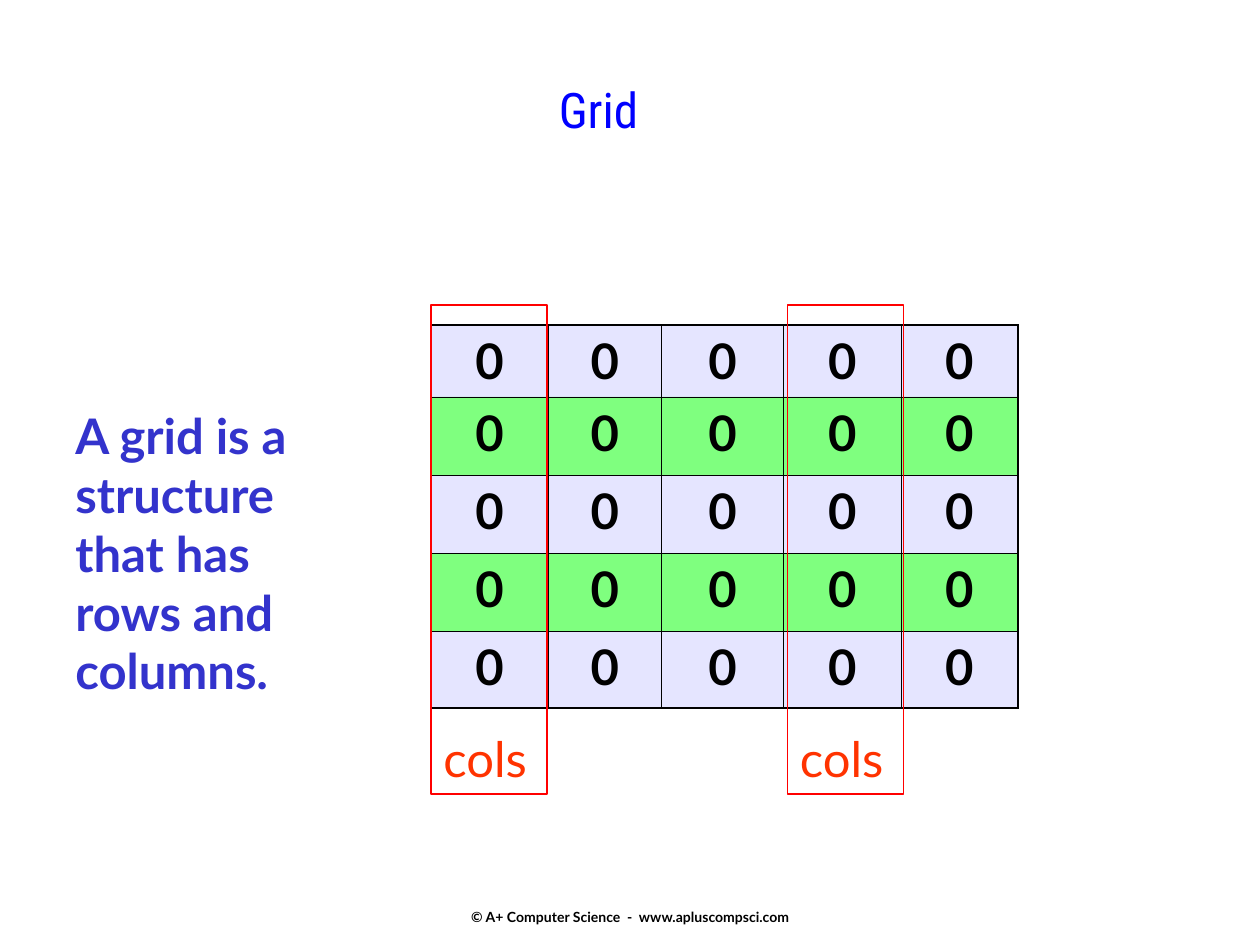
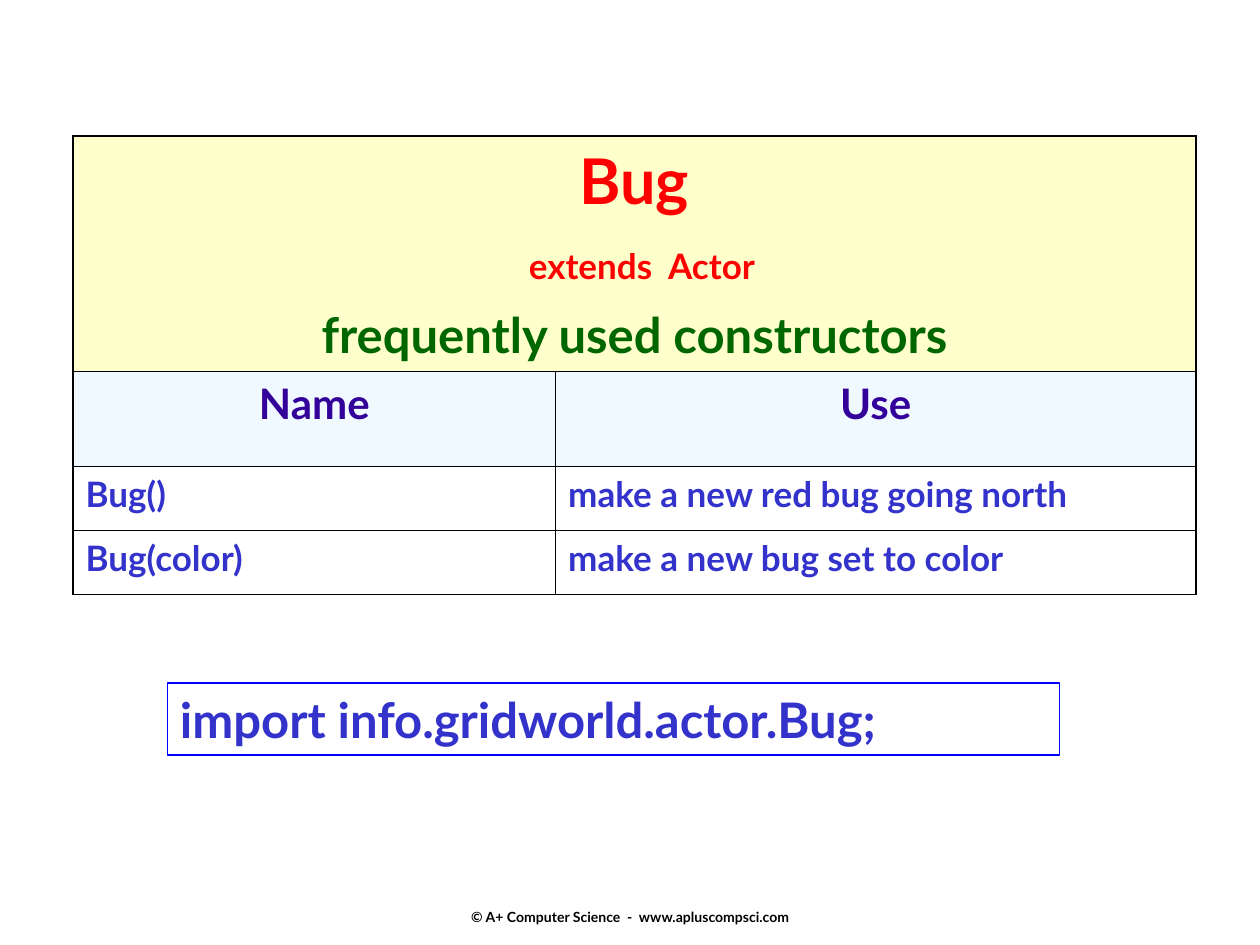
from lxml.etree import SubElement
from pptx import Presentation
from pptx.dml.color import RGBColor
from pptx.enum.shapes import MSO_SHAPE
from pptx.enum.text import MSO_ANCHOR, PP_ALIGN
from pptx.oxml import parse_xml
from pptx.oxml.ns import nsdecls, qn
from pptx.util import Inches, Pt

# Shared style
BODY_FONT = "Lato"
TITLE_FONT = "Roboto Condensed"
BLACK = "000000"
BLUE = "0000FF"
RED = "FF0000"
INDIGO = "3333CC"
ORANGE = "FF3300"
GREEN = "006600"
PURPLE = "330099"
LAVENDER = "CCCCFF"
LIME = "00FF00"
CREAM = "FFFFCC"
SKY = "E1F4FF"
OUTER_LINE, INNER_LINE = 1.08, 0.45
FOOTER = "© A+ Computer Science  -  www.apluscompsci.com"


def color(hex_value):
    return RGBColor.from_string(hex_value)


def style_paragraph(paragraph, size, hex_value, bold=True,
                    align=PP_ALIGN.LEFT, font=BODY_FONT):
    paragraph.alignment = align
    for run in paragraph.runs:
        run.font.name = font
        run.font.size = Pt(size)
        run.font.bold = bold
        run.font.color.rgb = color(hex_value)


def fill_text(shape, text, size, hex_value, anchor=MSO_ANCHOR.TOP, **style):
    text_frame = shape.text_frame
    text_frame.word_wrap = True
    text_frame.vertical_anchor = anchor
    text_frame.text = text
    style_paragraph(text_frame.paragraphs[0], size, hex_value, **style)


def add_text(slide, box, text, size, hex_value, **style):
    shape = slide.shapes.add_textbox(*map(Inches, box))
    fill_text(shape, text, size, hex_value, **style)


def add_frame(slide, box, line_color, text, size, hex_value, **style):
    """Add an unfilled outlined rectangle with text."""
    shape = slide.shapes.add_shape(MSO_SHAPE.RECTANGLE, *map(Inches, box))
    shape.shadow.inherit = False
    shape.fill.background()
    shape.line.color.rgb = color(line_color)
    shape.line.width = Pt(1)
    fill_text(shape, text, size, hex_value, **style)


def add_footer(slide):
    add_text(slide, (3.17, 7.03, 3.67, 0.5), FOOTER, 8, BLACK,
             align=PP_ALIGN.CENTER, anchor=MSO_ANCHOR.MIDDLE)


# Tables
def add_table(slide, left, top, widths, heights):
    frame = slide.shapes.add_table(
        len(heights), len(widths), Inches(left), Inches(top),
        Inches(sum(widths)), Inches(sum(heights)))
    table = frame.table
    table.first_row = False
    table.horz_banding = False
    for column, width in zip(table.columns, widths):
        column.width = Inches(width)
    for row, height in zip(table.rows, heights):
        row.height = Inches(height)
    return table


def fill_cell(cell, hex_value=None, opacity=100):
    if hex_value is None:
        cell.fill.background()
        return
    cell.fill.solid()
    cell.fill.fore_color.rgb = color(hex_value)
    if opacity < 100:
        for element in cell._tc.tcPr.iter(qn("a:srgbClr")):
            SubElement(element, qn("a:alpha"), val=str(opacity * 1000))


def draw_borders(table):
    """Draw thick lines around the table and thin lines inside it."""
    last_row, last_column = len(table.rows) - 1, len(table.columns) - 1
    for row in range(last_row + 1):
        for column in range(last_column + 1):
            cell = table.cell(row, column)
            span = cell.span_width if cell.is_merge_origin else 1
            edges = {"lnL": column == 0,
                     "lnR": column + span - 1 == last_column,
                     "lnT": row == 0,
                     "lnB": row == last_row}
            properties = cell._tc.get_or_add_tcPr()
            for index, (tag, is_outer) in enumerate(edges.items()):
                width = Pt(OUTER_LINE if is_outer else INNER_LINE)
                properties.insert(index, parse_xml(
                    f'<a:{tag} {nsdecls("a")} w="{width}"><a:solidFill>'
                    f'<a:srgbClr val="{BLACK}"/></a:solidFill></a:{tag}>'))


# Slides
def build_grid_slide(slide):
    add_footer(slide)
    add_text(slide, (1.75, 0.58, 6, 1.08), "Grid", 28, BLUE, bold=False,
             align=PP_ALIGN.CENTER, font=TITLE_FONT)

    table = add_table(slide, 3.42, 2.58, [0.93, 0.9, 0.97, 0.93, 0.93],
                      [0.57, 0.62, 0.62, 0.62, 0.61])
    for index, row in enumerate(table.rows):
        for cell in row.cells:
            cell.text = "0"
            style_paragraph(cell.text_frame.paragraphs[0], 28, BLACK,
                            align=PP_ALIGN.CENTER)
            fill_cell(cell, LIME if index % 2 else LAVENDER, 50)
    draw_borders(table)

    add_text(slide, (0.5, 3.17, 2.25, 2.44),
             "A grid is a structure that has rows and columns.", 28, INDIGO)
    for left in (3.42, 6.25):
        add_frame(slide, (left, 2.42, 0.92, 3.88), RED, "cols", 28, ORANGE,
                  bold=False, anchor=MSO_ANCHOR.BOTTOM)


def build_bug_slide(slide):
    add_footer(slide)
    table = add_table(slide, 0.58, 1.08, [3.83, 5.08],
                      [1.87, 0.75, 0.51, 0.51])

    # Class heading across both columns
    heading = table.cell(0, 0)
    heading.merge(table.cell(0, 1))
    heading.text = "Bug\nextends  Actor\nfrequently used constructors"
    heading_styles = [(36, RED, 0), (20, RED, 15.5), (28, GREEN, 10.5)]
    paragraphs = heading.text_frame.paragraphs
    for paragraph, (size, hex_value, before) in zip(paragraphs, heading_styles):
        style_paragraph(paragraph, size, hex_value, align=PP_ALIGN.CENTER)
        if before:
            paragraph.space_before = Pt(before)
    paragraphs[1]._p.get_or_add_pPr().set("marL", str(Inches(0.12)))
    fill_cell(heading, CREAM)

    # Column titles and constructors
    constructors = [("Name", "Use"),
                    ("Bug()", "make a new red bug going north"),
                    ("Bug(color)", "make a new bug set to color")]
    for row, texts in enumerate(constructors, start=1):
        for column, text in enumerate(texts):
            cell = table.cell(row, column)
            cell.text = text
            paragraph = cell.text_frame.paragraphs[0]
            if row == 1:
                style_paragraph(paragraph, 24, PURPLE, align=PP_ALIGN.CENTER)
                fill_cell(cell, SKY, 50)
            else:
                style_paragraph(paragraph, 20, INDIGO)
                fill_cell(cell)
    draw_borders(table)

    add_frame(slide, (1.33, 5.42, 7.08, 0.57), BLUE,
              "import info.gridworld.actor.Bug;", 28, INDIGO)


def main():
    presentation = Presentation()
    presentation.slide_width = Inches(10)
    presentation.slide_height = Inches(7.5)
    blank_layout = presentation.slide_layouts[6]
    for build in (build_grid_slide, build_bug_slide):
        build(presentation.slides.add_slide(blank_layout))
    presentation.save("out.pptx")


if __name__ == "__main__":
    main()
